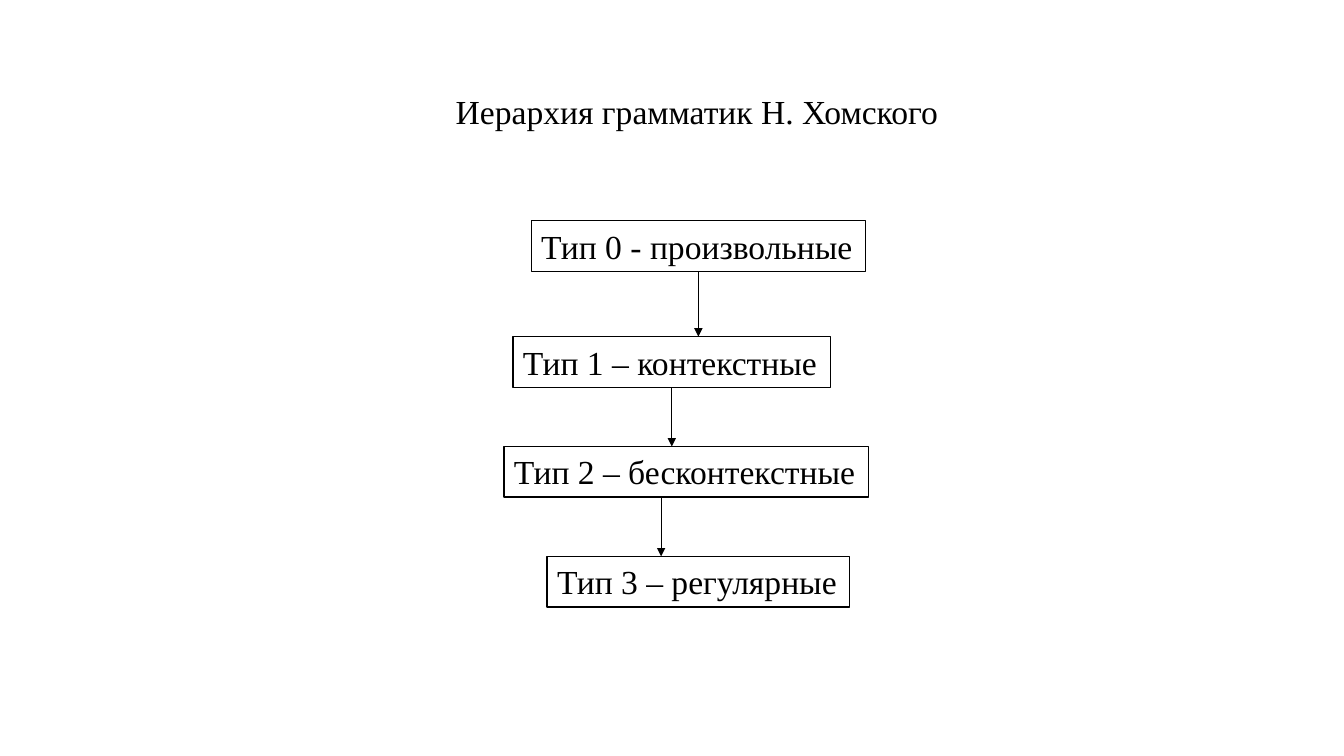
import pptx
import pptx.util
import pptx.dml.color
import pptx.enum.shapes
import pptx.enum.text
import pptx.oxml
import pptx.oxml.ns

Cm = pptx.util.Cm
Pt = pptx.util.Pt
BLACK = pptx.dml.color.RGBColor(0, 0, 0)
WHITE = pptx.dml.color.RGBColor(255, 255, 255)
HIGH = 1.28


def write(shape, text):
    frame = shape.text_frame
    frame.text = text
    frame.word_wrap = False
    frame.auto_size = pptx.enum.text.MSO_AUTO_SIZE.SHAPE_TO_FIT_TEXT
    frame.vertical_anchor = pptx.enum.text.MSO_ANCHOR.TOP
    line = frame.paragraphs[0]
    line.alignment = pptx.enum.text.PP_ALIGN.LEFT
    line.font.name = "Times New Roman"
    line.font.size = Pt(24)
    line.font.color.rgb = BLACK


deck = pptx.Presentation()
deck.slide_width = Cm(33.87)
deck.slide_height = Cm(19.05)
slide = deck.slides.add_slide(deck.slide_layouts[5])

title = slide.shapes.title
title.left, title.top = Cm(11.23), Cm(2.16)
title.width, title.height = Cm(12.8), Cm(HIGH)
write(title, "Иерархия грамматик Н. Хомского")

types = [
    ("Тип 0 - произвольные", 13.39, 5.56, 8.43),
    ("Тип 1 – контекстные", 12.93, 8.48, 8),
    ("Тип 2 – бесконтекстные", 12.7, 11.25, 9.19),
    ("Тип 3 – регулярные", 13.79, 14.02, 7.62),
]
for text, left, top, width in types:
    box = slide.shapes.add_shape(
        pptx.enum.shapes.MSO_SHAPE.RECTANGLE,
        Cm(left), Cm(top), Cm(width), Cm(HIGH))
    box.shadow.inherit = False
    box.fill.solid()
    box.fill.fore_color.rgb = WHITE
    box.line.color.rgb = BLACK
    box.line.width = Pt(1)
    write(box, text)

for x, upper, lower in zip((17.6, 16.93, 16.66), types, types[1:]):
    arrow = slide.shapes.add_connector(
        pptx.enum.shapes.MSO_CONNECTOR.STRAIGHT,
        Cm(x), Cm(upper[2] + HIGH), Cm(x), Cm(lower[2]))
    arrow.line.color.rgb = BLACK
    arrow.line.width = Pt(0.5)
    tail = pptx.oxml.parse_xml(
        "<a:tailEnd %s type='triangle'/>" % pptx.oxml.ns.nsdecls("a"))
    arrow.line._get_or_add_ln().append(tail)
    flat = pptx.oxml.parse_xml(
        "<a:effectLst %s/>" % pptx.oxml.ns.nsdecls("a"))
    arrow._element.spPr.append(flat)

deck.save("out.pptx")
